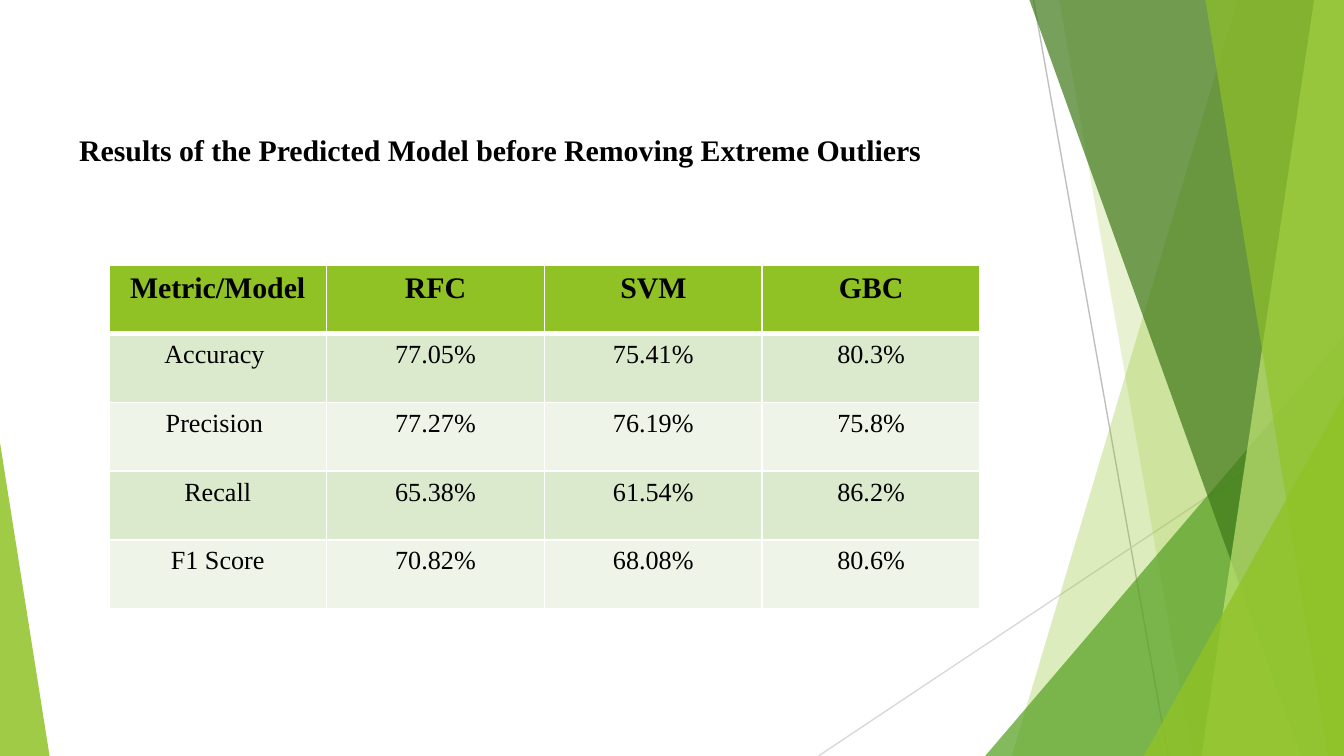
from pptx import Presentation
from pptx.dml.color import RGBColor
from pptx.enum import shapes, text
from pptx.oxml import ns, xmlchemy as xc
from pptx.util import Pt

FONT = "Times New Roman"
LIME, WHITE, BLACK = "90C226", "FFFFFF", "000000"
ROWS = [
    ("Metric/Model", "RFC", "SVM", "GBC"),
    ("Accuracy ", "77.05%", "75.41%", "80.3%"),
    ("Precision ", "77.27%", "76.19%", "75.8%"),
    ("Recall", "65.38%", "61.54%", "86.2%"),
    ("F1 Score", "70.82%", "68.08%", "80.6%"),
]


def tint(hexa):
    return RGBColor.from_string(hexa)


def child(parent, tag, **attrs):
    """Append an XML element with the given attributes."""
    node = xc.OxmlElement(tag)
    for key, val in attrs.items():
        node.set(key, str(val))
    parent.append(node)
    return node


def paint(shape, hexa, alpha):
    """Fill a shape with a partly clear colour, without line or shadow."""
    shape.shadow.inherit = False
    shape.line.fill.background()
    shape.fill.solid()
    shape.fill.fore_color.rgb = tint(hexa)
    node = shape.fill._xPr.find(".//" + ns.qn("a:srgbClr"))
    child(node, "a:alpha", val=alpha * 1000)


def style(run, size, bold):
    look = {"name": FONT, "size": Pt(size), "bold": bold}
    for key, val in look.items():
        setattr(run.font, key, val)
    run.font.color.rgb = tint(BLACK)


def ray(slide, ends, hexa):
    line = slide.shapes.add_connector(
        shapes.MSO_CONNECTOR.STRAIGHT, *(Pt(v) for v in ends))
    line.line.color.rgb = tint(hexa)
    line.line.width = Pt(0.75)
    child(line._element.spPr, "a:effectLst")


def panel(slide, box, top, base, hexa, alpha):
    """Draw a slanted panel; top and base are distances from the right edge."""
    x, y, w, h = box
    edge = x + w
    path = slide.shapes.build_freeform(Pt(edge - top), Pt(y), scale=1.0)
    spots = [(edge, y), (edge, y + h), (edge - base, y + h)]
    path.add_line_segments([(Pt(a), Pt(b)) for a, b in spots], close=True)
    paint(path.convert_to_shape(), hexa, alpha)


def wedge(slide, box, apex, hexa, alpha):
    """Draw a triangle whose apex lies at the left (0) or right (1)."""
    shape = slide.shapes.add_shape(
        shapes.MSO_SHAPE.ISOSCELES_TRIANGLE, *(Pt(v) for v in box))
    shape.adjustments[0] = apex
    paint(shape, hexa, alpha)


def facets(slide, box):
    """Draw the green facets along the right edge and lower left corner."""
    x, y, w, h = box
    edge, foot = x + w, y + h

    def right(wide, high, hexa, alpha):
        wedge(slide, (edge - wide, foot - high, wide, high), 1, hexa, alpha)

    ray(slide, (edge - 166.3, y, edge - 94.3, foot), "BFBFBF")
    ray(slide, (edge, y + 217.4, edge - 281.5, foot), "D9D9D9")
    panel(slide, box, 57, 178, LIME, 30)
    panel(slide, box, 152.6, 81.4, LIME, 20)
    right(192.2, 225, "54A021", 72)
    panel(slide, box, 168.5, 23, "3F7819", 70)
    panel(slide, box, 16, 76.3, "C0E474", 70)
    panel(slide, box, 74.2, 8.6, LIME, 65)
    right(107.3, 193, LIME, 80)
    wedge(slide, (x, foot - 168, 26.6, 168), 0, LIME, 85)


def heading(slide, body, box, words):
    for key, val in zip(("left", "top", "width", "height"), box):
        setattr(body, key, Pt(val))
    frame = body.text_frame
    for side in ("left", "top", "right", "bottom"):
        setattr(frame, "margin_" + side, Pt(7.2))
    frame.word_wrap = True
    frame.auto_size = text.MSO_AUTO_SIZE.NONE
    para = frame.paragraphs[0]
    para.space_before = Pt(0)
    props = para._p.get_or_add_pPr()
    props.set("marL", str(Pt(8.64)))
    props.set("indent", "0")
    child(props, "a:buNone")
    run = para.add_run()
    run.text = words
    style(run, 16, True)
    slide.shapes._spTree.append(body._element)


def border(cell, widths):
    """Give a cell white edges; widths run left, right, top, bottom."""
    props = cell._tc.get_or_add_tcPr()
    for side, wide in zip("LRTB", widths):
        line = child(props, "a:ln" + side, w=Pt(wide))
        child(child(line, "a:solidFill"), "a:srgbClr", val=WHITE)


def scores(slide, box, rows):
    x, y, w, h = box
    table = slide.shapes.add_table(
        len(rows), len(rows[0]), Pt(x), Pt(y), Pt(w), Pt(h)).table
    for col in table.columns:
        col.width = Pt(w / len(rows[0]))
    for i, row in enumerate(rows):
        table.rows[i].height = Pt(h / len(rows))
        head = i == 0
        hexa = LIME if head else ("EEF4E8", "DBE9CD")[i % 2]
        for j, words in enumerate(row):
            cell = table.cell(i, j)
            border(cell, (1, 1, 3 if i == 1 else 1, 3 if head else 1))
            cell.fill.solid()
            cell.fill.fore_color.rgb = tint(hexa)
            para = cell.text_frame.paragraphs[0]
            para.alignment = text.PP_ALIGN.CENTER
            run = para.add_run()
            run.text = words
            style(run, 16 if head else 14, head)


def main():
    deck = Presentation()
    deck.slide_width, deck.slide_height = Pt(720), Pt(405)
    slide = deck.slides.add_slide(deck.slide_layouts[1])
    title, body = slide.placeholders
    title._element.getparent().remove(title._element)
    facets(slide, (0, 0, 720, 405))
    heading(slide, body, (26.6, 63.4, 593.3, 283),
            "Results of the Predicted Model before Removing Extreme Outliers")
    scores(slide, (58.3, 142, 466.8, 184), ROWS)
    deck.save("out.pptx")


if __name__ == "__main__":
    main()
